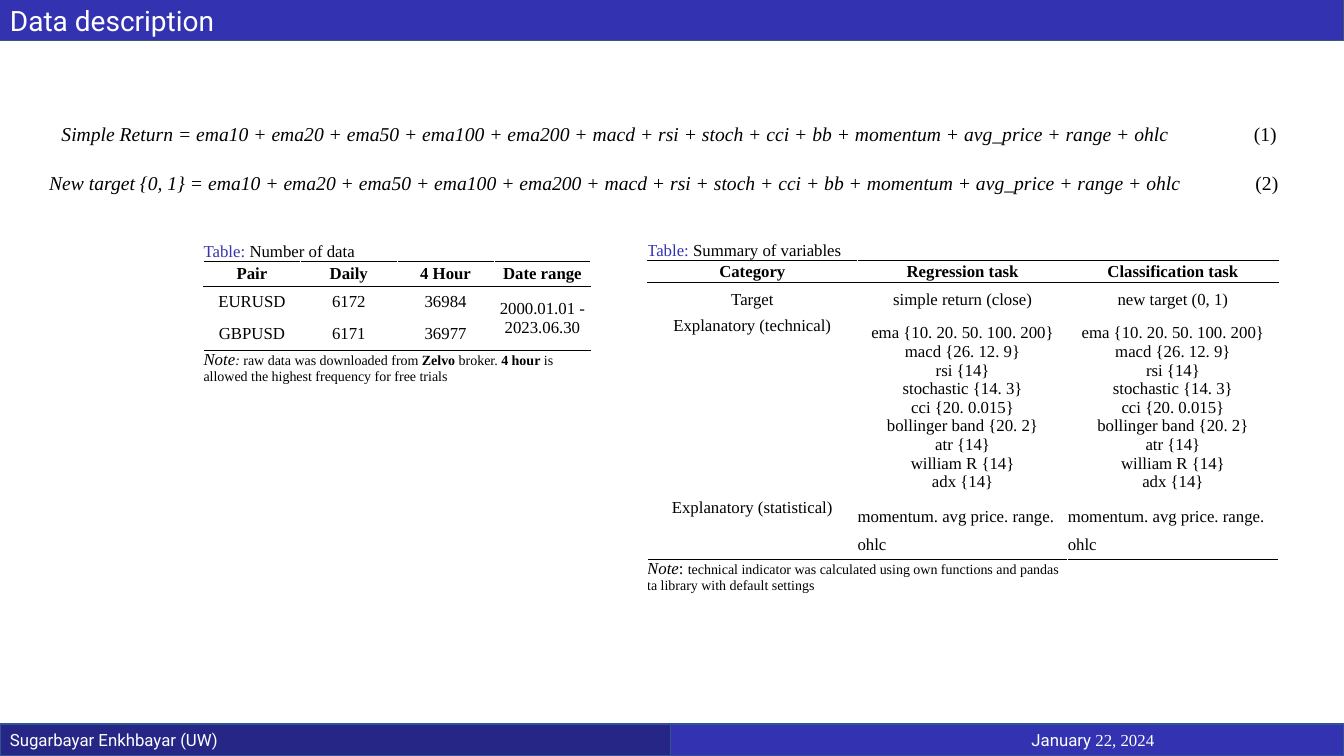
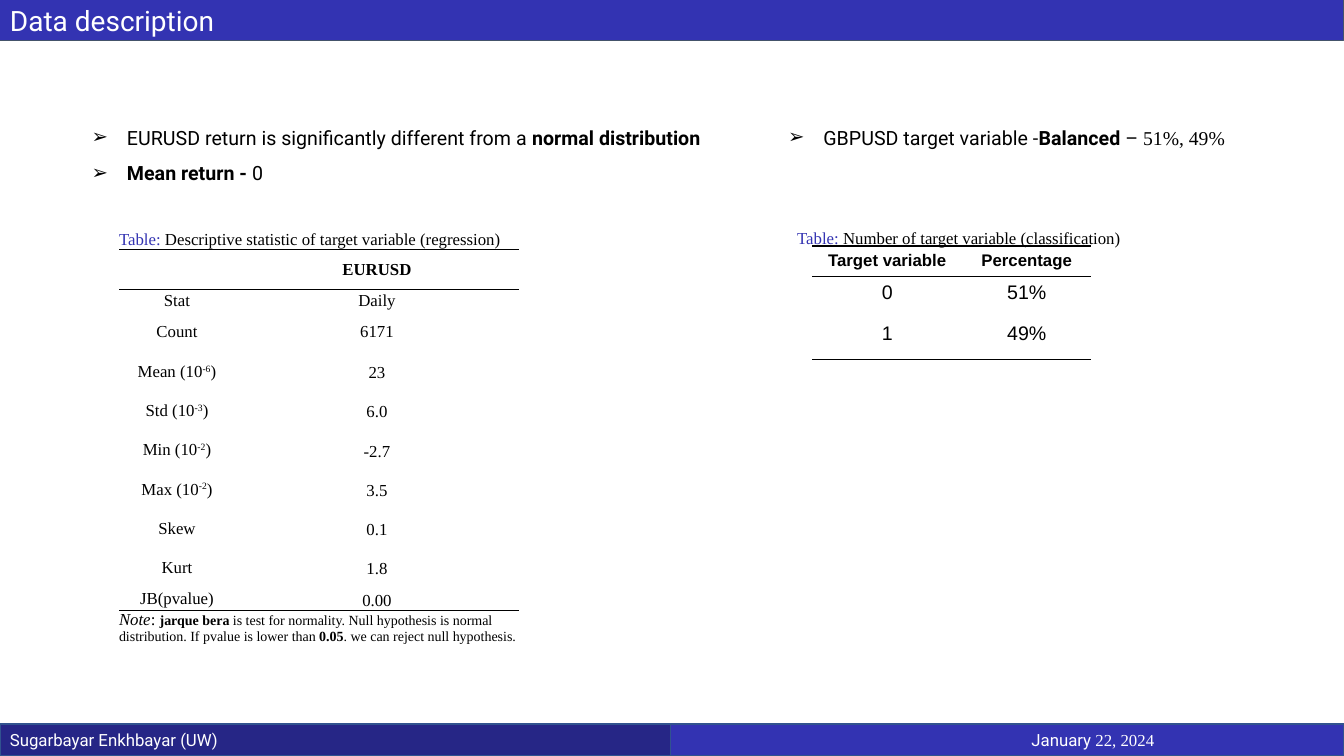
import dataclasses
import pptx
import pptx.dml.color
import pptx.enum.shapes
import pptx.enum.text
import pptx.oxml
import pptx.oxml.ns
import pptx.util
import lxml.etree

Cm = pptx.util.Cm
Pt = pptx.util.Pt
ALIGN = pptx.enum.text.PP_ALIGN
ANCHOR = pptx.enum.text.MSO_ANCHOR


@dataclasses.dataclass(frozen=True)
class Theme:
    band: str = "3333B2"
    band_dark: str = "262686"
    title_edge: str = "44546A"
    footer_edge: str = "31538F"
    ink: str = "000000"
    paper: str = "FFFFFF"
    sans: str = "Roboto"
    serif: str = "Times New Roman"
    plain: str = "Arial"
    title: int = 20
    body: int = 14
    small: int = 12
    note: int = 10


@dataclasses.dataclass(frozen=True)
class Box:
    left: float
    top: float
    width: float
    height: float

    def lengths(self):
        return Cm(self.left), Cm(self.top), Cm(self.width), Cm(self.height)


THEME = Theme()
PAGE = Box(0, 0, 33.87, 19.05)
BOLD = {"bold": True}
ITALIC = {"italic": True}
NOTE = {"size": THEME.note}
NOTE_BOLD = {"size": THEME.note, "bold": True}
RAISED = {"raised": 30000}
CAPTION_LABEL = ("Table: ", {"color": THEME.band})


def rgb(color):
    return pptx.dml.color.RGBColor.from_string(color)


def sub(parent, tag, **attributes):
    return lxml.etree.SubElement(parent, pptx.oxml.ns.qn(tag), attributes)


def add_run(paragraph, text, size, font, color, bold=False, italic=False, raised=0):
    run = paragraph.add_run()
    run.text = text
    run.font.size = Pt(size)
    run.font.name = font
    run.font.bold = bold
    run.font.italic = italic
    run.font.color.rgb = rgb(color)
    if raised:
        run.font._element.set("baseline", str(raised))


def write(frame, lines, align=ALIGN.LEFT, spacing=None, bullet=None, tab=None,
          size=THEME.small, font=THEME.serif, color=THEME.ink, **style):
    frame.word_wrap = True
    for index, line in enumerate(lines):
        paragraph = frame.paragraphs[0] if index == 0 else frame.add_paragraph()
        paragraph.alignment = align
        if spacing:
            paragraph.line_spacing = spacing
        properties = paragraph._p.get_or_add_pPr()
        if bullet:
            properties.set("marL", str(Cm(1.27)))
            properties.set("indent", str(-Cm(0.89)))
            sub(sub(properties, "a:buClr"), "a:srgbClr", val=THEME.ink)
            sub(properties, "a:buFont", typeface=THEME.plain)
            sub(properties, "a:buChar", char=bullet)
        if tab:
            sub(sub(properties, "a:tabLst"), "a:tab", pos=str(Cm(tab)), algn="l")
        for piece in [line] if isinstance(line, str) else line:
            text, override = (piece, {}) if isinstance(piece, str) else piece
            base = {"size": size, "font": font, "color": color}
            add_run(paragraph, text, **{**base, **style, **override})


def text_box(slide, box, lines, **style):
    frame = slide.shapes.add_textbox(*box.lengths()).text_frame
    write(frame, lines, **style)


def band(slide, box, fill, edge, edge_width, line, right_inset=0.25, **style):
    bar = slide.shapes.add_shape(pptx.enum.shapes.MSO_SHAPE.RECTANGLE, *box.lengths())
    bar.shadow.inherit = False
    bar.fill.solid()
    bar.fill.fore_color.rgb = rgb(fill)
    bar.line.color.rgb = rgb(edge)
    bar.line.width = Pt(edge_width)
    bar.text_frame.vertical_anchor = ANCHOR.MIDDLE
    bar.text_frame.margin_right = Cm(right_inset)
    write(bar.text_frame, [line], font=THEME.sans, color=THEME.paper, **style)


def frame_slide(deck, title):
    slide = deck.slides.add_slide(deck.slide_layouts[6])
    band(slide, Box(0, 0, PAGE.width, 1.02), THEME.band, THEME.title_edge, 0.75,
         title, size=THEME.title)
    footer_top, split = 18.24, 16.9
    height = PAGE.height - footer_top
    band(slide, Box(0, footer_top, split, height), THEME.band_dark,
         THEME.footer_edge, 1, "Sugarbayar Enkhbayar (UW)")
    band(slide, Box(split, footer_top, PAGE.width - split, height), THEME.band,
         THEME.footer_edge, 1, ["January ", ("22, 2024", {"font": THEME.serif})],
         right_inset=4.78, align=ALIGN.RIGHT)
    return slide


def border(cell, tag, color, width):
    line = sub(cell._tc.get_or_add_tcPr(), tag, w=str(Pt(width)))
    if color:
        sub(sub(line, "a:solidFill"), "a:srgbClr", val=color)
    else:
        sub(line, "a:noFill")


def ruled_table(slide, left, top, columns, rows, ruled_below, divided=(),
                top_rule=False, width=1):
    box = Box(left, top, sum(columns), sum(rows))
    table = slide.shapes.add_table(len(rows), len(columns), *box.lengths()).table
    table.first_row = table.horz_banding = False
    for column, size in zip(table.columns, columns):
        column.width = Cm(size)
    for index, (row, size) in enumerate(zip(table.rows, rows)):
        row.height = Cm(size)
        side = THEME.paper if index in divided else None
        above = index - 1 in ruled_below or (top_rule and index == 0)
        for cell in row.cells:
            border(cell, "a:lnL", side, width)
            border(cell, "a:lnR", side, width)
            border(cell, "a:lnT", THEME.ink if above else None, width)
            border(cell, "a:lnB", THEME.ink if index in ruled_below else None, width)
            cell.fill.background()
    return table


def fill_cell(cell, lines, anchor=ANCHOR.MIDDLE, inset=(0, 0), align=ALIGN.CENTER, **style):
    cell.margin_left = cell.margin_right = Cm(inset[0])
    cell.margin_top = cell.margin_bottom = Cm(inset[1])
    cell.vertical_anchor = anchor
    write(cell.text_frame, lines, align=align, **style)


def fill_row(table, row, texts, **style):
    for column, text in enumerate(texts):
        if text:
            fill_cell(table.cell(row, column), [text], **style)


def caption_and_note(table, caption, note, span):
    last = len(table.rows) - 1
    for row, line, anchor in ((0, [CAPTION_LABEL, caption], ANCHOR.BOTTOM),
                              (last, note, ANCHOR.TOP)):
        table.cell(row, 0).merge(table.cell(row, span - 1))
        fill_cell(table.cell(row, 0), [line], anchor=anchor, align=ALIGN.LEFT)


def equation(slide, box, target, number, tab):
    terms = ("ema10 + ema20 + ema50 + ema100 + ema200 + macd + rsi + stoch + cci"
             " + bb + momentum + avg_price + range + ohlc")
    line = [(f"{target} = {terms}", ITALIC), f"\t({number})"]
    text_box(slide, box, [line], size=THEME.body, spacing=1.5, tab=tab)


def data_count_table(slide, left, top):
    table = ruled_table(slide, left, top, [2.44] * 4, [0.81, 0.63, 0.81, 0.81, 1.45],
                        ruled_below=(0, 1, 3), divided=(1,), width=0.75)
    caption_and_note(table, "Number of data", [
        ("Note", ITALIC), (": ", {**NOTE, **ITALIC}), ("raw data was downloaded from ", NOTE),
        ("Zelvo ", NOTE_BOLD), ("broker. ", NOTE), ("4 hour", NOTE_BOLD),
        (" is allowed the highest frequency for free trials", NOTE)], span=4)
    fill_row(table, 1, ["Pair", "Daily", "4 Hour", "Date range"], bold=True)
    fill_row(table, 2, ["EURUSD", "6172", "36984"])
    fill_row(table, 3, ["GBPUSD", "6171", "36977"])
    table.cell(2, 3).merge(table.cell(3, 3))
    fill_cell(table.cell(2, 3), ["2000.01.01 - 2023.06.30"])


def variables_table(slide, left, top):
    table = ruled_table(slide, left, top, [5.3] * 3, [0.99, 0.57, 0.86, 4.57, 1.54, 0.87],
                        ruled_below=(0, 1, 4), divided=(0, 1, 5), width=0.75)
    caption_and_note(table, "Summary of variables", [
        ("Note", ITALIC), ": ",
        ("technical indicator was calculated using own functions and pandas ta library"
         " with default settings", NOTE)], span=2)
    fill_row(table, 1, ["Category", "Regression task", "Classification task"], bold=True)
    fill_row(table, 2, ["Target", "simple return (close)", "new target (0, 1)"])
    indicators = ["ema {10. 20. 50. 100. 200}", "macd {26. 12. 9}", "rsi {14}",
                  "stochastic {14. 3}", "cci {20. 0.015}", "bollinger band {20. 2}",
                  "atr {14}", "william R {14}", "adx {14}"]
    for row, kind in ((3, "technical"), (4, "statistical")):
        fill_cell(table.cell(row, 0), [f"Explanatory ({kind})"], anchor=ANCHOR.TOP)
    for task in (1, 2):
        fill_cell(table.cell(3, task), indicators)
        fill_cell(table.cell(4, task), ["momentum. avg price. range. ohlc"],
                  anchor=ANCHOR.TOP, align=ALIGN.LEFT, spacing=1.5)


def statistics_table(slide, left, top):
    table = ruled_table(slide, left, top, [2.92, 7.16],
                        [0.51, 0.7, 0.58] + [0.99] * 7 + [0.51, 0.99],
                        ruled_below=(0, 1, 10))
    caption_and_note(table, "Descriptive statistic of target variable (regression)", [
        ("Note", ITALIC), ": ", ("jarque bera ", NOTE_BOLD),
        ("is test for normality. Null hypothesis is normal distribution."
         " If pvalue is lower than ", NOTE),
        ("0.05", NOTE_BOLD), (". we can reject null hypothesis.", NOTE)], span=2)
    fill_row(table, 1, ["", "EURUSD"], bold=True)
    fill_row(table, 2, ["Stat", "Daily"])
    fill_row(table, 3, ["Count", "6171"])
    statistics = [("Mean", "-6", "23"), ("Std", "-3", "6.0"), ("Min", "-2", "-2.7"),
                  ("Max", "-2", "3.5"), ("Skew", "", "0.1"), ("Kurt", "", "1.8"),
                  ("JB(pvalue)", "", "0.00")]
    for row, (name, power, value) in enumerate(statistics, 4):
        label = [f"{name} (10", (power, RAISED), ")"] if power else name
        fill_cell(table.cell(row, 0), [label])
        fill_cell(table.cell(row, 1), [value], spacing=1.15)


def balance_table(slide, left, top):
    table = ruled_table(slide, left, top, [3.78, 3.25], [0.76, 1.04, 1.04],
                        ruled_below=(0, 2), top_rule=True)
    style = {"font": THEME.plain, "anchor": ANCHOR.TOP, "inset": (0.25, 0.13)}
    fill_row(table, 0, ["Target variable", "Percentage"], bold=True, **style)
    for row, texts in enumerate((["0", "51%"], ["1", "49%"]), 1):
        fill_row(table, row, texts, size=THEME.body, **style)
    text_box(slide, Box(left - 0.63, top - 0.59, 9.5, 1.02),
             [[CAPTION_LABEL, "Number of target variable (classification)"]])


def findings(slide, box, lines):
    text_box(slide, box, lines, size=THEME.body, font=THEME.sans, spacing=1.5, bullet="➢")


def variables_slide(deck):
    slide = frame_slide(deck, "Data description")
    equation(slide, Box(1.3, 2.64, 32, 0.86), "Simple Return", 1, 30.05)
    equation(slide, Box(0.99, 3.89, 32.36, 0.86), "New target {0, 1}", 2, 30.4)
    data_count_table(slide, 5.13, 5.77)
    variables_table(slide, 16.31, 5.54)


def distribution_slide(deck):
    slide = frame_slide(deck, "Data description")
    findings(slide, Box(1.68, 2.74, 16.97, 1.75), [
        ["EURUSD return is significantly different from a ", ("normal distribution", BOLD)],
        [("Mean return - ", BOLD), "0"]])
    findings(slide, Box(19.23, 2.74, 14.6, 0.86), [
        ["GBPUSD target variable -", ("Balanced ", BOLD), "– ",
         ("51%, 49%", {"font": THEME.serif})]])
    statistics_table(slide, 3, 5.77)
    balance_table(slide, 20.47, 6.2)


def main():
    deck = pptx.Presentation()
    deck.slide_width, deck.slide_height = Cm(PAGE.width), Cm(PAGE.height)
    variables_slide(deck)
    distribution_slide(deck)
    deck.save("out.pptx")


if __name__ == "__main__":
    main()
